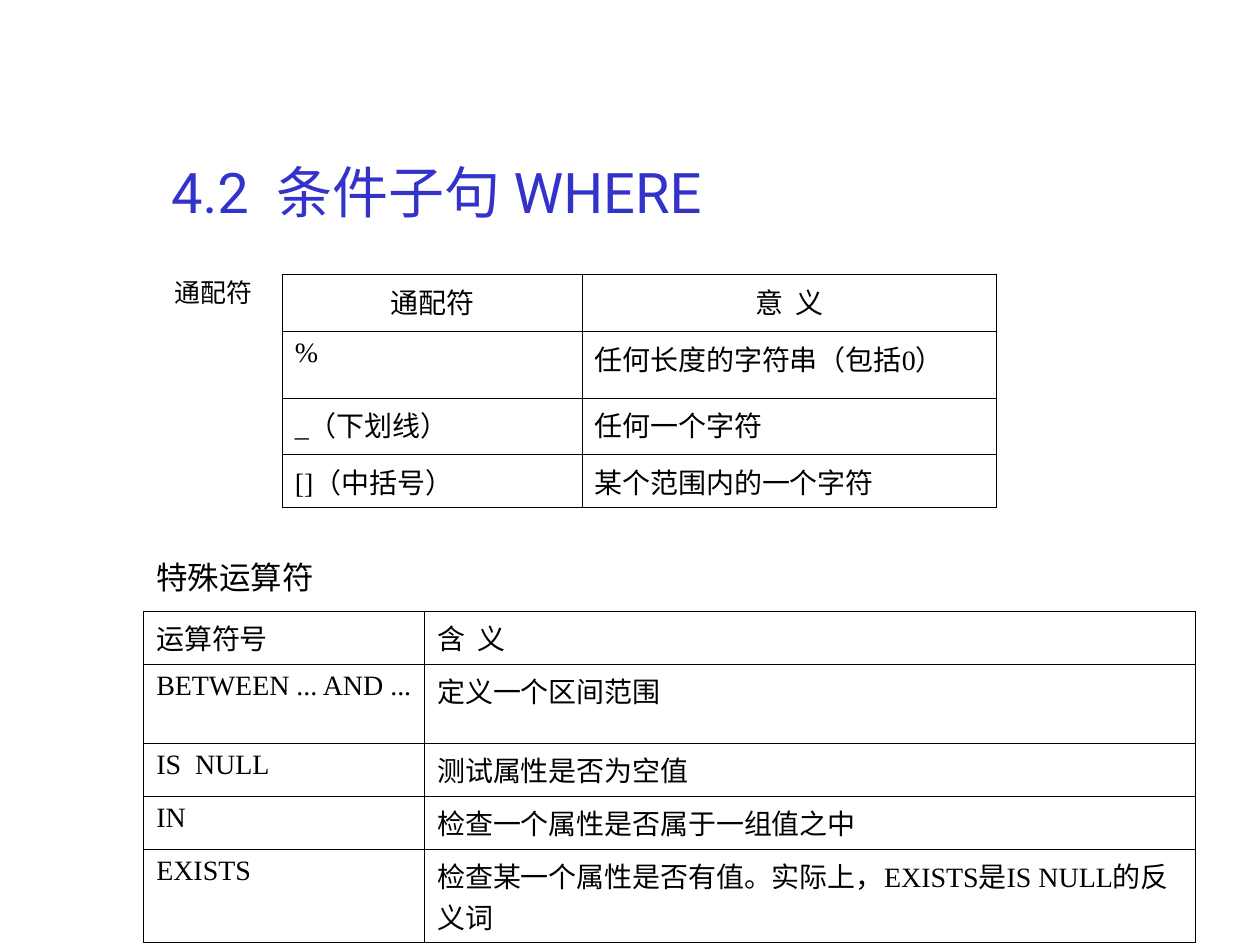
from lxml import etree
from pptx import Presentation
from pptx.dml.color import RGBColor
from pptx.enum.text import MSO_ANCHOR, PP_ALIGN
from pptx.oxml.ns import qn
from pptx.util import Inches, Pt

BLACK = "000000"


def add_text(tf, text, size, font, color=BLACK):
    p = tf.paragraphs[0]
    r = p.add_run()
    r.text = text
    r.font.size = Pt(size)
    r.font.name = font
    r.font.color.rgb = RGBColor.from_string(color)
    return p


def set_borders(cell, width):
    tcPr = cell._tc.get_or_add_tcPr()
    for i, side in enumerate(("a:lnL", "a:lnR", "a:lnT", "a:lnB")):
        ln = etree.Element(qn(side), w=str(int(Pt(width))))
        fill = etree.SubElement(ln, qn("a:solidFill"))
        etree.SubElement(fill, qn("a:srgbClr"), val=BLACK)
        tcPr.insert(i, ln)  # borders come before the fill


prs = Presentation()
prs.slide_width, prs.slide_height = Inches(10), Inches(7.5)
s = prs.slides.add_slide(prs.slide_layouts[6])

# Title and section labels: text, box, size, colour, anchor, space before, line spacing
labels = [
    ("4.2  条件子句 WHERE", (1.26, 0.23, 8.52, 1.6), 32, "3333CC", MSO_ANCHOR.BOTTOM, 0, 1.0),
    ("通配符", (1.29, 2.21, 0.95, 0.28), 14.8, BLACK, MSO_ANCHOR.TOP, 4, 0.7),
    ("特殊运算符", (1.14, 4.38, 1.81, 0.4), 18, BLACK, MSO_ANCHOR.TOP, 11.2, 1.0),
]
for text, box, size, color, anchor, before, spacing in labels:
    tf = s.shapes.add_textbox(*map(Inches, box)).text_frame
    tf.word_wrap = True
    tf.vertical_anchor = anchor
    p = add_text(tf, text, size, "Roboto", color)
    p.space_before = Pt(before)
    p.line_spacing = spacing

# Tables: position, column widths, row heights, centred header, cell texts
tables = [
    ((2.24, 2.18), (2.38, 3.29), (0.45, 0.53, 0.45, 0.42), True, [
        ("通配符", "意  义"),
        ("%", "任何长度的字符串（包括0）"),
        ("_（下划线）", "任何一个字符"),
        ("[]（中括号）", "某个范围内的一个字符"),
    ]),
    ((1.14, 4.85), (2.23, 6.12), (0.42, 0.63, 0.42, 0.42, 0.74), False, [
        ("运算符号", "含  义"),
        ("BETWEEN ... AND ...", "定义一个区间范围"),
        ("IS  NULL", "测试属性是否为空值"),
        ("IN", "检查一个属性是否属于一组值之中"),
        ("EXISTS", "检查某一个属性是否有值。实际上，EXISTS是IS NULL的反义词"),
    ]),
]
for (left, top), widths, heights, centered, rows in tables:
    table = s.shapes.add_table(
        len(rows), len(widths), Inches(left), Inches(top),
        Inches(sum(widths)), Inches(sum(heights))).table
    table.first_row = table.horz_banding = False
    for column, width in zip(table.columns, widths):
        column.width = Inches(width)
    for i, (height, texts) in enumerate(zip(heights, rows)):
        table.rows[i].height = Inches(height)
        for j, text in enumerate(texts):
            cell = table.cell(i, j)
            cell.fill.background()
            set_borders(cell, 0.45)
            p = add_text(cell.text_frame, text, 16, "Times New Roman")
            if centered and i == 0:
                p.alignment = PP_ALIGN.CENTER

prs.save("out.pptx")
